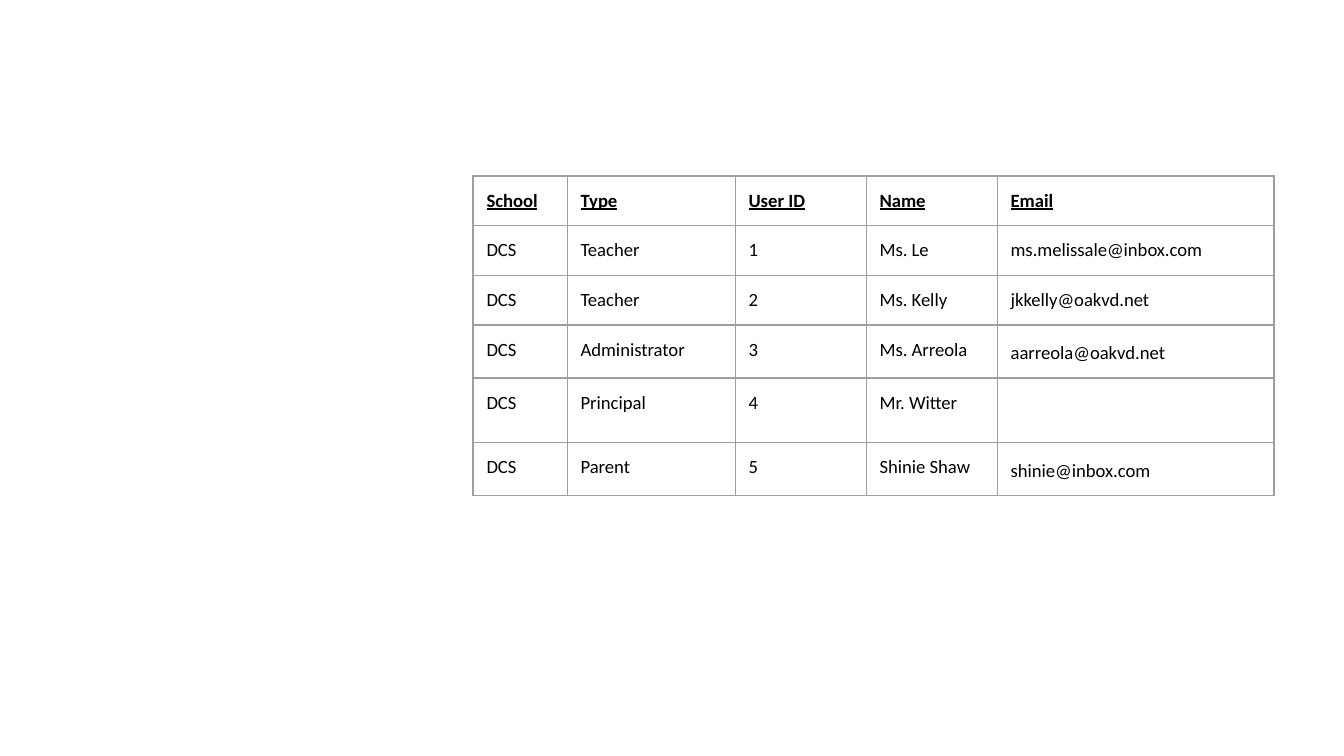
from lxml import etree
from pptx import Presentation
from pptx import util as u
from pptx.dml.color import RGBColor
from pptx.oxml import ns

BLACK = RGBColor(0x00, 0x00, 0x00)
GREY = RGBColor(0x9E, 0x9E, 0x9E)
FONT = "Calibri"
PADDING = u.Inches(0.1)
SLIDE_WIDTH = u.Inches(10)
SLIDE_HEIGHT = SLIDE_WIDTH * 9 // 16

HEADINGS = ("School", "Type", "User ID", "Name", "Email")
USERS = (
    ("Teacher", "Ms. Le", "ms.melissale@inbox.com"),
    ("Teacher", "Ms. Kelly", "jkkelly@oakvd.net"),
    ("Administrator", "Ms. Arreola", "aarreola@oakvd.net"),
    ("Principal", "Mr. Witter", ""),
    ("Parent", "Shinie Shaw", "shinie@inbox.com"),
)
COLUMN_UNITS = (140, 250, 195, 195, 412)
ROW_UNITS = (37, 37, 37, 39, 48, 39)
SPACED_ROWS = (3, 5)
EMAIL_COLUMN = HEADINGS.index("Email")


def draw_borders(cell):
    properties = cell._tc.get_or_add_tcPr()
    for position, side in enumerate(("lnL", "lnR", "lnT", "lnB")):
        line = etree.Element(ns.qn(f"a:{side}"), w=str(u.Pt(0.75)))
        fill = etree.SubElement(line, ns.qn("a:solidFill"))
        etree.SubElement(fill, ns.qn("a:srgbClr"), val=str(GREY))
        properties.insert(position, line)


def write_cell(cell, words, heading, spaced):
    cell.fill.background()
    draw_borders(cell)
    if not words:
        return
    cell.margin_left = cell.margin_right = PADDING
    cell.margin_top = cell.margin_bottom = PADDING
    para = cell.text_frame.paragraphs[0]
    para.text = words
    if spaced:
        para.line_spacing = 1.15
        para.space_after = u.Pt(16)
    font = para.runs[0].font
    font.name = FONT
    font.size = u.Pt(10)
    font.color.rgb = BLACK
    font.bold = font.underline = heading


def add_user_table(page, left, top, width, height):
    records = [HEADINGS]
    for number, (role, name, email) in enumerate(USERS, start=1):
        records.append(("DCS", role, str(number), name, email))
    frame = page.shapes.add_table(len(records), len(HEADINGS), left, top, width, height)
    table = frame.table
    table.first_row = table.horz_banding = False
    for column, units in zip(table.columns, COLUMN_UNITS):
        column.width = int(width * units / sum(COLUMN_UNITS))
    for row, units in zip(table.rows, ROW_UNITS):
        row.height = int(height * units / sum(ROW_UNITS))
    for r, record in enumerate(records):
        for c, words in enumerate(record):
            spaced = c == EMAIL_COLUMN and r in SPACED_ROWS
            write_cell(table.cell(r, c), words, r == 0, spaced)


def main():
    deck = Presentation()
    deck.slide_width, deck.slide_height = SLIDE_WIDTH, SLIDE_HEIGHT
    page = deck.slides.add_slide(deck.slide_layouts[6])
    add_user_table(
        page,
        left=u.Inches(3.52),
        top=u.Inches(1.31),
        width=u.Inches(5.96),
        height=u.Inches(2.37),
    )
    deck.save("out.pptx")


if __name__ == "__main__":
    main()
